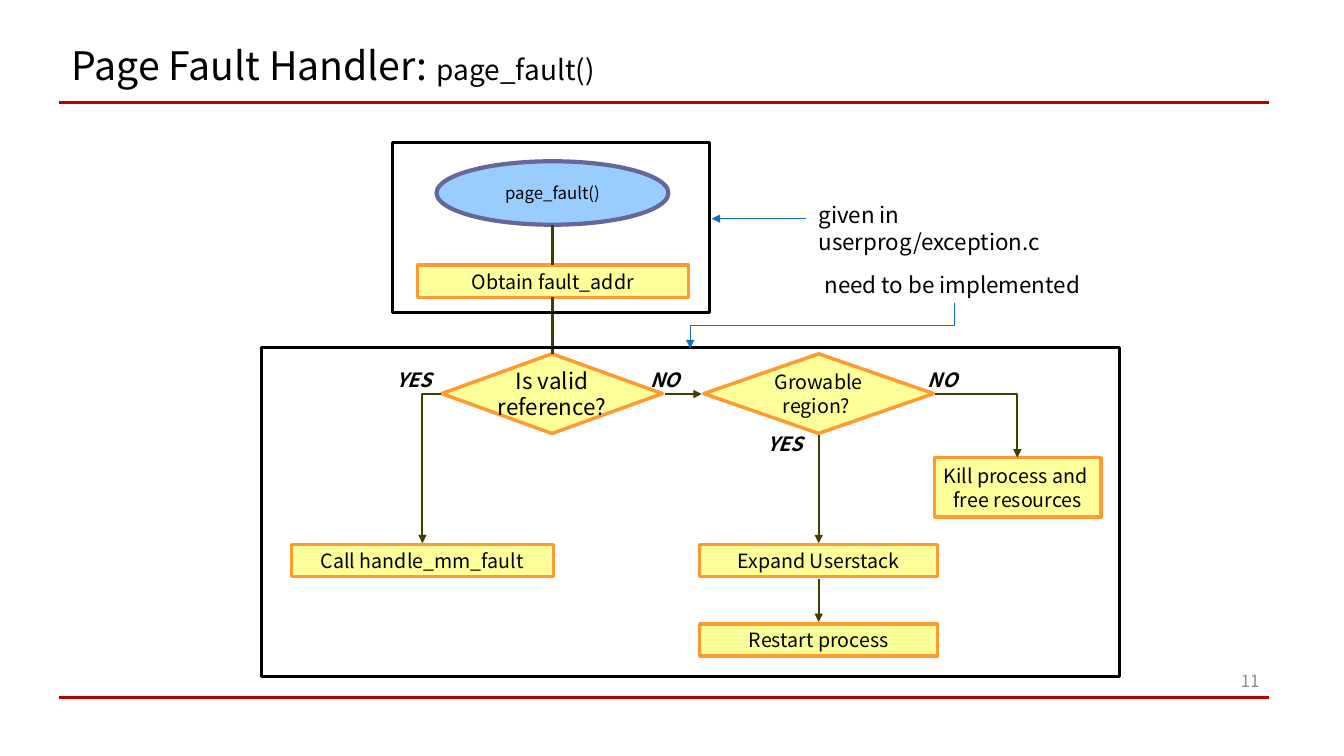
from lxml.etree import SubElement
from pptx import Presentation
from pptx.dml.color import RGBColor
from pptx.enum.shapes import MSO_CONNECTOR, MSO_SHAPE
from pptx.enum.text import MSO_ANCHOR, MSO_AUTO_SIZE, PP_ALIGN
from pptx.oxml.ns import qn
from pptx.util import Inches, Pt

FONT = "Noto Sans CJK KR"
BLACK, RED, BLUE, OLIVE = "000000", "C00000", "0F6FC6", "3F3E00"


def color(value):
    """Turn a hex string into a colour."""
    return RGBColor.from_string(value)


class FlowSlide:
    """Hold the style and the current slide of a flow chart."""

    def __init__(self, presentation):
        """Add a title-only slide."""
        self.slide = presentation.slides.add_slide(presentation.slide_layouts[5])
        self.shapes = self.slide.shapes

    def add_run(self, paragraph, text, size, ink=BLACK, **extra):
        """Add a run in the slide's font."""
        run = paragraph.add_run()
        run.text = text
        values = {"name": FONT, "size": Pt(size), **extra}
        for name, value in values.items():
            setattr(run.font, name, value)
        run.font.color.rgb = color(ink)

    def fill_text(self, shape, lines, size, align=PP_ALIGN.LEFT, anchor=MSO_ANCHOR.TOP,
                  wrap=False, **extra):
        """Put one paragraph per line into a shape."""
        frame = shape.text_frame
        frame.word_wrap = wrap
        frame.vertical_anchor = anchor
        for index, line in enumerate(lines):
            paragraph = frame.add_paragraph() if index else frame.paragraphs[0]
            paragraph.alignment = align
            self.add_run(paragraph, line, size, **extra)

    def title(self, box, parts):
        """Place the title and fill it with runs of different sizes."""
        title = self.shapes.title
        for name, value in zip(("left", "top", "width", "height"), box):
            setattr(title, name, Inches(value))
        frame = title.text_frame
        frame.auto_size = MSO_AUTO_SIZE.NONE
        frame.vertical_anchor = MSO_ANCHOR.TOP
        paragraph = frame.paragraphs[0]
        paragraph.alignment = PP_ALIGN.LEFT
        paragraph.line_spacing = 0.9
        for text, size in parts:
            self.add_run(paragraph, text, size)

    def node(self, kind, box, lines=(), size=14, fill="FFFF99", line="FF9933", weight=2.5):
        """Add an outlined shape with centred text."""
        shape = self.shapes.add_shape(kind, *map(Inches, box))
        shape.shadow.inherit = False
        if fill:
            shape.fill.solid()
            shape.fill.fore_color.rgb = color(fill)
        else:
            shape.fill.background()
        shape.line.color.rgb = color(line)
        shape.line.width = Pt(weight)
        self.fill_text(shape, lines, size, PP_ALIGN.CENTER, MSO_ANCHOR.MIDDLE)

    def text(self, box, text, size, **style):
        """Add a text box."""
        shape = self.shapes.add_textbox(*map(Inches, box))
        self.fill_text(shape, [text], size, **style)

    def line(self, start, end, ink=OLIVE, weight=1.5, arrow=True, bend=None, rotation=0):
        """Add a straight or bent connector."""
        kind = MSO_CONNECTOR.ELBOW if bend else MSO_CONNECTOR.STRAIGHT
        connector = self.shapes.add_connector(kind, *map(Inches, (*start, *end)))
        connector.line.color.rgb = color(ink)
        connector.line.width = Pt(weight)
        properties = connector.element.spPr
        if bend:
            properties.find(qn("a:prstGeom")).set("prst", bend)
        if rotation:
            properties.find(qn("a:xfrm")).set("rot", str(rotation * 60000))
        if arrow:
            SubElement(properties.find(qn("a:ln")), qn("a:tailEnd"), type="triangle")
        SubElement(properties, qn("a:effectLst"))


def main():
    """Build the page fault flow chart."""
    presentation = Presentation()
    presentation.slide_width = Inches(13.33)
    presentation.slide_height = Inches(7.5)
    chart = FlowSlide(presentation)

    for y in (1.02, 6.92):
        chart.line((0.59, y), (12.59, y), RED, 2.25, arrow=False)
    chart.title((0.61, 0.41, 11.5, 0.53), [("Page Fault Handler: ", 28), ("page_fault()", 20)])
    chart.text((12.1, 6.55, 0.49, 0.4), "11", 12, ink="8C8C8C",
               align=PP_ALIGN.RIGHT, anchor=MSO_ANCHOR.MIDDLE, wrap=True)

    chart.node(MSO_SHAPE.OVAL, (4.33, 1.6, 2.3, 0.63), ["page_fault()"], 12,
               "99CCFF", "666699", 3)
    decisions = [
        (4.38, 2.19, ["Is valid", "reference?"], 16),
        (6.98, 2.28, ["Growable", "region? "], 14),
    ]
    for left, width, lines, size in decisions:
        chart.node(MSO_SHAPE.FLOWCHART_DECISION, (left, 3.51, width, 0.79), lines, size)
    processes = [
        ((4.14, 2.63, 2.69, 0.32), ["Obtain fault_addr"]),
        ((2.89, 5.4, 2.6, 0.32), ["Call handle_mm_fault"]),
        ((6.94, 5.4, 2.36, 0.32), ["Expand Userstack"]),
        ((6.94, 6.19, 2.36, 0.32), ["Restart process"]),
        ((9.27, 4.54, 1.65, 0.59), ["Kill process and ", "free resources"]),
    ]
    for box, lines in processes:
        chart.node(MSO_SHAPE.FLOWCHART_PROCESS, box, lines)

    for top, bottom in ((2.23, 2.63), (2.95, 3.51)):
        chart.line((5.48, top), (5.48, bottom), arrow=False)
    chart.line((6.6, 3.91), (6.96, 3.91))
    for top, bottom in ((4.32, 5.39), (5.74, 6.17)):
        chart.line((8.12, top), (8.12, bottom))
    for start, end in (((9.27, 3.91), (10.09, 4.54)), ((4.37, 3.91), (4.19, 5.39))):
        chart.line(start, end, bend="bentConnector2")

    answers = [(3.83, 3.6, "YES"), (6.35, 3.6, "NO"), (9.1, 3.6, "NO"), (7.51, 4.24, "YES")]
    for left, top, answer in answers:
        chart.text((left, top, 0.71, 0.34), answer, 14, wrap=True, bold=True, italic=True)

    for frame in ((3.89, 1.41, 3.15, 1.69), (2.59, 3.45, 8.51, 3.26)):
        chart.node(MSO_SHAPE.RECTANGLE, frame, fill=None, line=BLACK, weight=2.25)
    chart.text((8.02, 1.95, 3.1, 0.37), "given in userprog/exception.c", 16, wrap=True)
    chart.text((8.08, 2.64, 2.76, 0.37), "need to be implemented", 16)
    chart.line((7.99, 2.17), (7.06, 2.17), BLUE, 0.5)
    chart.line((7.93, 1.92), (8.38, 4.54), BLUE, 0.5, bend="bentConnector3", rotation=90)

    presentation.save("out.pptx")


if __name__ == "__main__":
    main()
